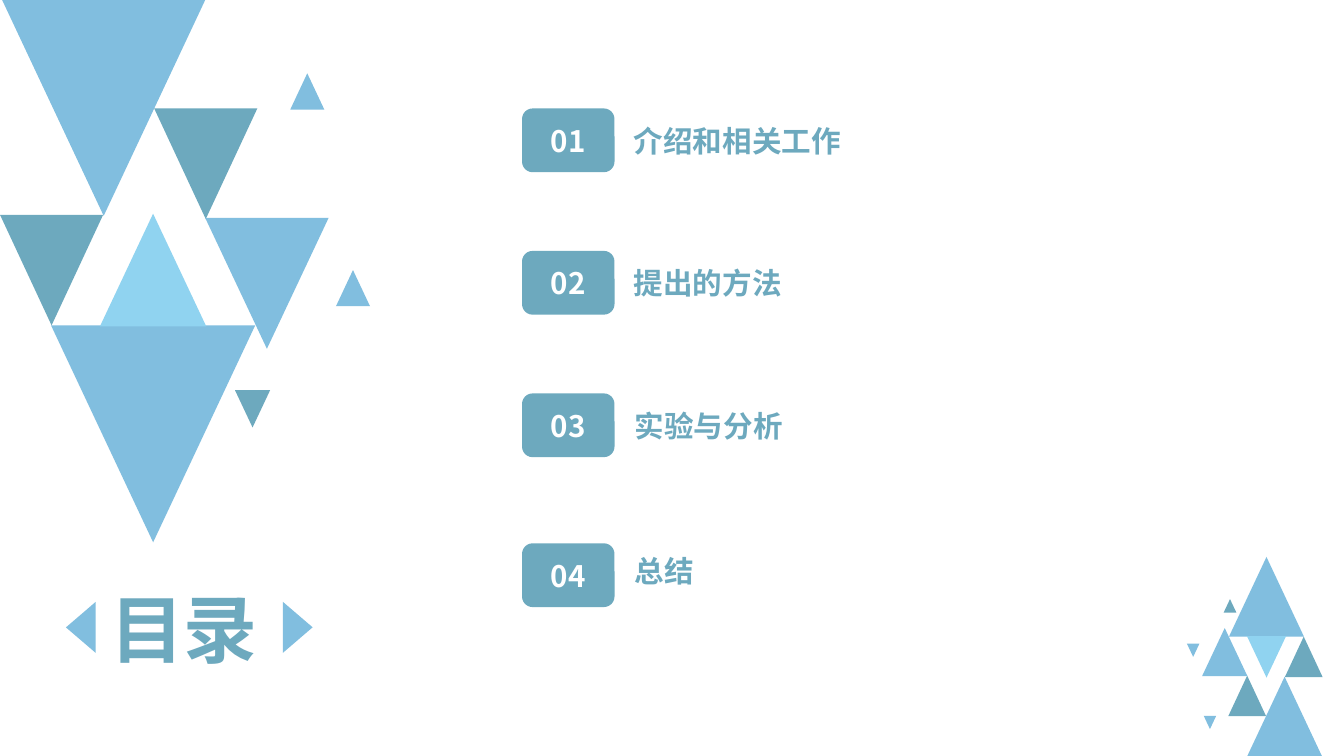
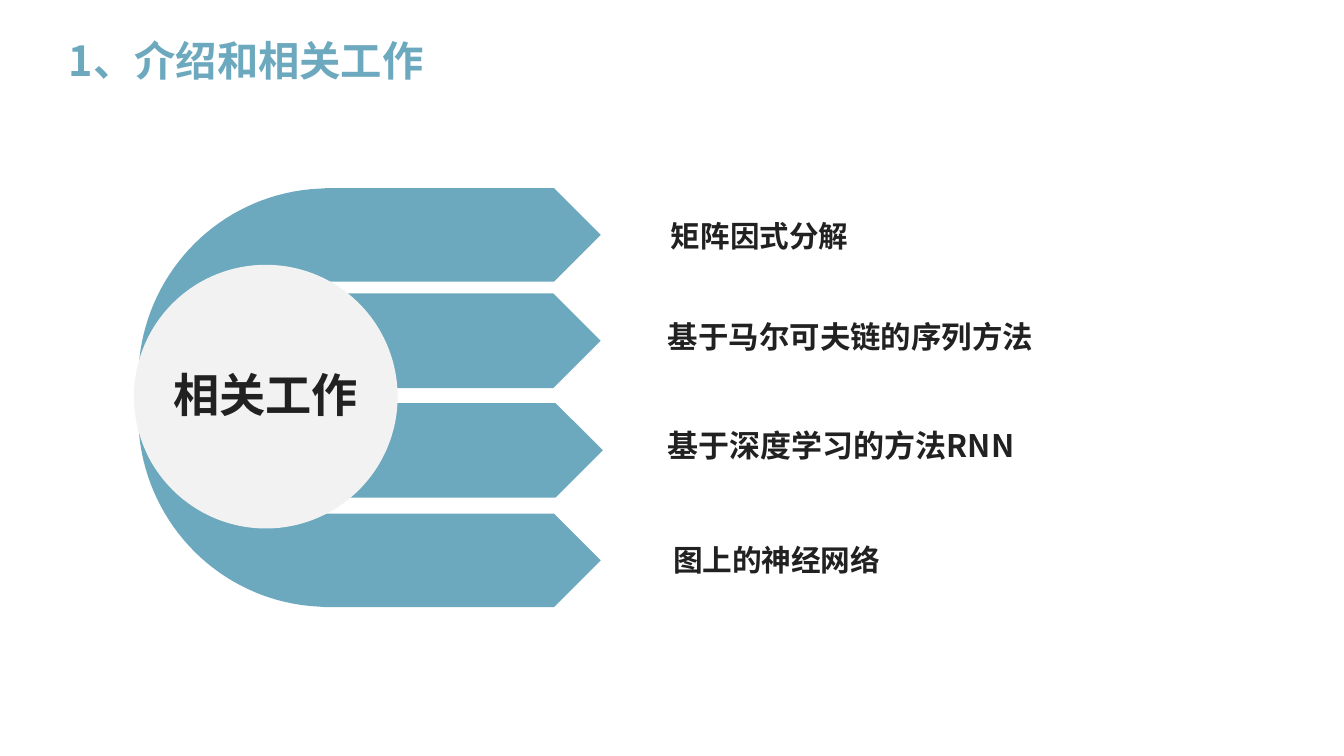
from dataclasses import dataclass

import pptx
import pptx.dml.color
import pptx.enum.shapes
import pptx.enum.text
import pptx.oxml.ns
import pptx.util

# Shared look: lengths are px, 100 to the inch
EMU_PER_PX = 9144
SLIDE_W, SLIDE_H = 1264, 711
FONT = "Noto Sans CJK SC"
TEAL, BLUE, SKY = "6DA9BE", "81BEDF", "90D3F0"
INK, PALE, WHITE = "212121", "F2F2F2", "FFFFFF"
SHAPE = pptx.enum.shapes.MSO_SHAPE
ALIGN = pptx.enum.text.PP_ALIGN


@dataclass
class Triangle:
    x: int
    y: int
    w: int
    h: int
    fill: str
    turn: int = 0


@dataclass
class Label:
    text: str
    x: int
    y: int
    w: int
    h: int = 39
    size: float = 20
    color: str = TEAL
    align: int = ALIGN.LEFT


@dataclass
class Entry:
    number: str
    top: int
    label: Label


CLUSTER = [
    Triangle(2, 0, 191, 203, BLUE, 180),
    Triangle(145, 102, 97, 104, TEAL, 180),
    Triangle(273, 69, 32, 34, BLUE),
    Triangle(0, 202, 97, 104, TEAL, 180),
    Triangle(48, 306, 192, 204, BLUE, 180),
    Triangle(94, 201, 100, 106, SKY),
    Triangle(193, 205, 116, 123, BLUE, 180),
    Triangle(316, 254, 32, 34, BLUE),
    Triangle(221, 367, 33, 35, TEAL, 180),
]
TITLE_ARROWS = [
    Triangle(256, 576, 48, 28, BLUE, 90),
    Triangle(52, 576, 48, 28, BLUE, 270),
]
ENTRIES = [
    Entry("01", 102, Label("介绍和相关工作", 596, 113, 311)),
    Entry("02", 236, Label("提出的方法", 596, 246, 311)),
    Entry("03", 370, Label("实验与分析", 597, 381, 311)),
    Entry("04", 511, Label("总结", 597, 517, 311)),
]
TOPICS = [
    Label("矩阵因式分解", 631, 202, 261, 39, 20, INK),
    Label("基于马尔可夫链的序列方法", 628, 297, 367, 39, 20.6, INK),
    Label("基于深度学习的方法RNN", 628, 399, 423, 40, 21, INK),
    Label("图上的神经网络", 633, 507, 310, 39, 20.1, INK),
]


def px(n: float) -> int:
    return round(n * EMU_PER_PX)


def rgb(color: str) -> pptx.dml.color.RGBColor:
    return pptx.dml.color.RGBColor.from_string(color)


def paint(sp, fill: str) -> None:
    sp.shadow.inherit = False
    sp.fill.solid()
    sp.fill.fore_color.rgb = rgb(fill)
    sp.line.fill.background()


def add_shape(slide, kind, x: float, y: float, w: float, h: float, fill: str):
    sp = slide.shapes.add_shape(kind, px(x), px(y), px(w), px(h))
    paint(sp, fill)
    return sp


def write(sp, text: str, size: float, color: str, align: int, wrap: bool = False) -> None:
    tf = sp.text_frame
    frame = {"margin_left": 0, "margin_right": 0, "margin_top": 0, "margin_bottom": 0,
             "word_wrap": wrap, "vertical_anchor": pptx.enum.text.MSO_ANCHOR.MIDDLE}
    for name, value in frame.items():
        setattr(tf, name, value)
    p = tf.paragraphs[0]
    p.alignment = align
    r = p.add_run()
    r.text = text
    for name, value in {"size": pptx.util.Pt(size), "bold": True, "name": FONT}.items():
        setattr(r.font, name, value)
    r.font.color.rgb = rgb(color)
    # East Asian glyphs take their own typeface entry
    ea = r._r.get_or_add_rPr().makeelement(pptx.oxml.ns.qn("a:ea"), {"typeface": FONT})
    r._r.get_or_add_rPr().append(ea)


def add_label(slide, label: Label) -> None:
    sp = slide.shapes.add_textbox(px(label.x), px(label.y), px(label.w), px(label.h))
    write(sp, label.text, label.size, label.color, label.align, wrap=True)


def add_triangle(slide, t: Triangle) -> None:
    sp = add_shape(slide, SHAPE.ISOSCELES_TRIANGLE, t.x, t.y, t.w, t.h, t.fill)
    sp.rotation = t.turn


def half_turned(t: Triangle, right: int, bottom: int, scale: float) -> Triangle:
    """Scale a triangle and turn it about, measuring from the right and bottom."""
    return Triangle(right - scale * (t.x + t.w), bottom - scale * (t.y + t.h),
                    scale * t.w, scale * t.h, t.fill, (t.turn + 180) % 360)


def bezier(a, b, c, d, steps: int = 32) -> list:
    points = []
    for i in range(steps + 1):
        t = i / steps
        weights = ((1 - t) ** 3, 3 * t * (1 - t) ** 2, 3 * t * t * (1 - t), t ** 3)
        points.append(tuple(sum(k * q[axis] for k, q in zip(weights, (a, b, c, d)))
                            for axis in (0, 1)))
    return points


def add_outline(slide, points: list, fill: str) -> None:
    emu = [(px(x), px(y)) for x, y in points]
    builder = slide.shapes.build_freeform(*emu[0])
    builder.add_line_segments(emu[1:], close=True)
    paint(builder.convert_to_shape(), fill)


def contents_slide(slide) -> None:
    # Triangle cluster, large at the left and small at the right
    for t in CLUSTER:
        add_triangle(slide, t)
    for t in CLUSTER:
        add_triangle(slide, half_turned(t, 1244, SLIDE_H, 0.367))
    # Heading between two arrows
    add_label(slide, Label("目录", 52, 545, 242, 92, 50, TEAL, ALIGN.CENTER))
    for t in TITLE_ARROWS:
        add_triangle(slide, t)
    # Numbered entries
    for entry in ENTRIES:
        sp = add_shape(slide, SHAPE.ROUNDED_RECTANGLE, 491, entry.top, 87, 60, TEAL)
        write(sp, entry.number, 20, WHITE, ALIGN.CENTER)
        add_label(slide, entry.label)


def related_work_slide(slide) -> None:
    add_label(slide, Label("1、介绍和相关工作", 41, 29, 381, 54, 28, TEAL, ALIGN.CENTER))
    # Curved outer arrows, mirrored about the middle
    upper = [(307, 177), (521, 177), (565, 221), (521, 265)]
    upper += bezier((262, 265), (231, 255), (145, 270), (132, 342))
    upper += [(130, 351)]
    upper += bezier((131, 338), (140, 253), (207, 186), (292, 178))
    add_outline(slide, upper, TEAL)
    add_outline(slide, [(x, 748 - y) for x, y in upper], TEAL)
    # Straight inner arrows
    for x, y in ((278, 276), (280, 379)):
        add_shape(slide, SHAPE.PENTAGON, x, y, 287, 89, TEAL)
    # Hub
    hub = add_shape(slide, SHAPE.OVAL, 126, 249, 248, 248, PALE)
    write(hub, "相关工作", 31.3, INK, ALIGN.CENTER)
    hub.text_frame.margin_bottom = px(4)
    for topic in TOPICS:
        add_label(slide, topic)


def main() -> None:
    prs = pptx.Presentation()
    prs.slide_width, prs.slide_height = px(SLIDE_W), px(SLIDE_H)
    for draw in (contents_slide, related_work_slide):
        draw(prs.slides.add_slide(prs.slide_layouts[6]))
    prs.save("out.pptx")


if __name__ == "__main__":
    main()
